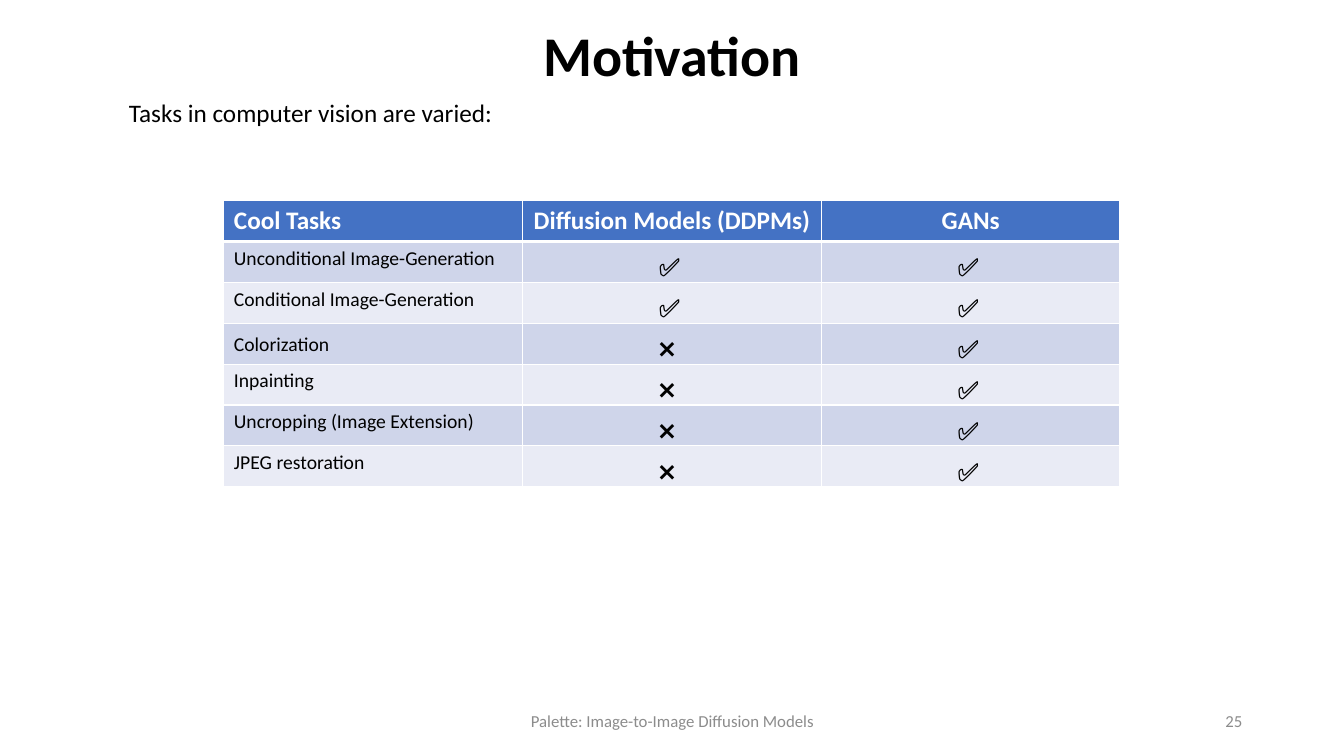
from dataclasses import dataclass

from lxml import etree
from pptx import Presentation
from pptx.dml.color import RGBColor
from pptx.enum.text import MSO_ANCHOR, PP_ALIGN
from pptx.oxml.ns import qn
from pptx.util import Inches, Pt

LEFT, CENTER, RIGHT = PP_ALIGN.LEFT, PP_ALIGN.CENTER, PP_ALIGN.RIGHT
TOP, MIDDLE = MSO_ANCHOR.TOP, MSO_ANCHOR.MIDDLE
TITLE_ONLY = 5


@dataclass(frozen=True)
class Theme:
    font: str = "Calibri"
    black: str = "000000"
    white: str = "FFFFFF"
    gray: str = "8C8C8C"
    header: str = "4472C4"
    bands: tuple = ("CFD5EA", "E9EBF5")
    title_size: int = 40
    body_size: int = 18
    cell_size: int = 14
    footer_size: int = 12
    thin: int = 1
    thick: int = 3


THEME = Theme()
YES, NO = "✅", "❌"
HEADINGS = ("Cool Tasks", "Diffusion Models (DDPMs)", "GANs")
TASKS = (
    ("Unconditional Image-Generation", YES, YES),
    ("Conditional Image-Generation", YES, YES),
    ("Colorization", NO, YES),
    ("Inpainting", NO, YES),
    ("Uncropping (Image Extension)", NO, YES),
    ("JPEG restoration", NO, YES),
)
LOWERED_TASK = "Colorization"


def write_text(frame, text, size, color, align=LEFT, bold=False):
    frame.text = text
    para = frame.paragraphs[0]
    para.alignment = align
    font = para.runs[0].font
    font.name = THEME.font
    font.size = Pt(size)
    font.bold = bold
    font.color.rgb = RGBColor.from_string(color)


def add_label(page, box, text, size, color, align=LEFT, anchor=TOP, wrap=True):
    shape = page.shapes.add_textbox(*map(Inches, box))
    frame = shape.text_frame
    frame.word_wrap = wrap
    frame.vertical_anchor = anchor
    write_text(frame, text, size, color, align)


def add_heading(page, box):
    left, top, width, height = box
    title = page.shapes.title
    title.left, title.top, title.width, title.height = map(Inches, box)
    title.text_frame.vertical_anchor = TOP
    write_text(title.text_frame, "Motivation", THEME.title_size, THEME.black, CENTER, True)
    add_label(page, (left, top + height, 4, 0.4), "Tasks in computer vision are varied:",
              THEME.body_size, THEME.black, wrap=False)


def style_cell(cell, fill, top_width, bottom_width):
    properties = cell._tc.get_or_add_tcPr()
    widths = {"a:lnL": THEME.thin, "a:lnR": THEME.thin, "a:lnT": top_width, "a:lnB": bottom_width}
    for side, width in widths.items():
        line = etree.SubElement(properties, qn(side), w=str(Pt(width)))
        solid = etree.SubElement(line, qn("a:solidFill"))
        etree.SubElement(solid, qn("a:srgbClr"), val=THEME.white)
    cell.fill.solid()
    cell.fill.fore_color.rgb = RGBColor.from_string(fill)


def add_task_table(page, box):
    left, top, width, height = box
    row_height = height / (len(TASKS) + 1)
    column_width = width / len(HEADINGS)
    table = page.shapes.add_table(len(TASKS) + 1, len(HEADINGS), *map(Inches, box)).table
    for row in table.rows:
        row.height = Inches(row_height)
    for column, heading in enumerate(HEADINGS):
        table.columns[column].width = Inches(column_width)
        cell = table.cell(0, column)
        style_cell(cell, THEME.header, THEME.thin, THEME.thick)
        write_text(cell.text_frame, heading, THEME.body_size, THEME.white,
                   CENTER if column else LEFT, True)
    for row, (task, *marks) in enumerate(TASKS, 1):
        for column in range(len(HEADINGS)):
            style_cell(table.cell(row, column), THEME.bands[(row - 1) % 2],
                       THEME.thick if row == 1 else THEME.thin, THEME.thin)
        cell = table.cell(row, 0)
        write_text(cell.text_frame, task, THEME.cell_size, THEME.black)
        if task == LOWERED_TASK:
            cell.margin_top = Inches(0.1)
        for column, mark in enumerate(marks, 1):
            mark_box = (left + column * column_width + 1.25, top + row * row_height + 0.05, 0.45, 0.4)
            add_label(page, mark_box, mark, THEME.body_size, THEME.black, wrap=False)


def add_footer(page, box):
    left, top, width, height = box
    add_label(page, (left, top, 4.5, height), "Palette: Image-to-Image Diffusion Models",
              THEME.footer_size, THEME.gray, CENTER, MIDDLE)
    add_label(page, (left + width - 3, top, 3, height), "25",
              THEME.footer_size, THEME.gray, RIGHT, MIDDLE)


def main():
    deck = Presentation()
    deck.slide_width, deck.slide_height = Inches(13.33), Inches(7.5)
    page = deck.slides.add_slide(deck.slide_layouts[TITLE_ONLY])
    page.background.fill.solid()
    page.background.fill.fore_color.rgb = RGBColor.from_string(THEME.white)
    add_heading(page, (1.18, 0.15, 10.97, 0.77))
    add_task_table(page, (2.22, 1.99, 8.89, 2.84))
    add_footer(page, (4.42, 6.95, 8, 0.4))
    deck.save("out.pptx")


if __name__ == "__main__":
    main()
